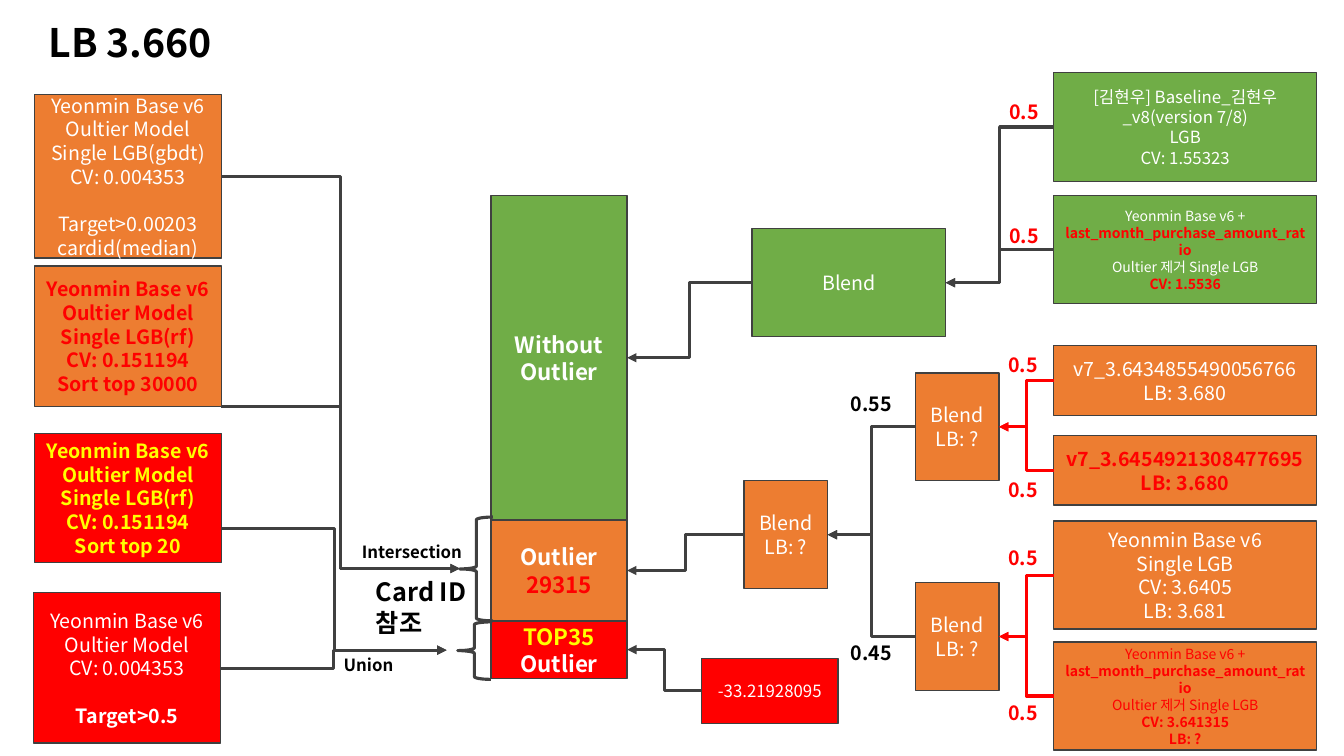
from dataclasses import dataclass
from typing import NamedTuple, Optional

from pptx import Presentation
from pptx.dml.color import RGBColor
from pptx.enum.shapes import MSO_CONNECTOR, MSO_SHAPE
from pptx.enum.text import MSO_ANCHOR, PP_ALIGN
from pptx.oxml.ns import qn
from pptx.util import Inches, Pt
from lxml import etree

FONT = "Noto Sans CJK KR"
ORANGE = RGBColor(0xED, 0x7D, 0x31)
GREEN = RGBColor(0x70, 0xAD, 0x47)
RED = RGBColor(0xFF, 0x00, 0x00)
YELLOW = RGBColor(0xFF, 0xFF, 0x00)
WHITE = RGBColor(0xFF, 0xFF, 0xFF)
BLACK = RGBColor(0x00, 0x00, 0x00)
GRAY = RGBColor(0x40, 0x40, 0x40)

RECT, BRACE = MSO_SHAPE.RECTANGLE, MSO_SHAPE.LEFT_BRACE
ELBOW = MSO_CONNECTOR.ELBOW
LEFT, CENTER = PP_ALIGN.LEFT, PP_ALIGN.CENTER
TOP, MIDDLE = MSO_ANCHOR.TOP, MSO_ANCHOR.MIDDLE
LEFT_SITE, RIGHT_SITE = 1, 3
LINE_FACTOR = 1.21


class Run(NamedTuple):
    text: str
    color: Optional[RGBColor] = None
    bold: Optional[bool] = None


class Para(NamedTuple):
    runs: tuple
    gap_lines: int = 0


@dataclass
class Box:
    key: str
    at: tuple
    fill: RGBColor
    size: int
    paras: list
    color: RGBColor = WHITE
    bold: bool = False


@dataclass
class Label:
    text: str
    at: tuple
    color: RGBColor = BLACK
    size: int = 14


def lines(*texts: str) -> list:
    return [Para((Run(t),)) for t in texts]


def write(tf, paras: list, size: int, color: RGBColor, bold: bool, align) -> None:
    tf.word_wrap = True
    for i, para in enumerate(paras):
        p = tf.paragraphs[0] if i == 0 else tf.add_paragraph()
        p.alignment = align
        p.line_spacing = Pt(size * LINE_FACTOR)
        p.space_before = Pt(size * LINE_FACTOR * para.gap_lines)
        for run in para.runs:
            r = p.add_run()
            r.text = run.text
            r.font.size = Pt(size)
            r.font.bold = bold if run.bold is None else run.bold
            r.font.color.rgb = run.color or color
            r.font.name = FONT
            etree.SubElement(r.font._element, qn("a:ea")).set("typeface", FONT)


def draw_box(s, box: Box):
    sp = s.shapes.add_shape(RECT, *map(Inches, box.at))
    sp.shadow.inherit = False
    sp.fill.solid()
    sp.fill.fore_color.rgb = box.fill
    sp.line.color.rgb = GRAY
    sp.line.width = Pt(1)
    sp.text_frame.vertical_anchor = MIDDLE
    write(sp.text_frame, box.paras, box.size, box.color, box.bold, CENTER)
    return sp


def draw_label(s, label: Label) -> None:
    tf = s.shapes.add_textbox(*map(Inches, label.at)).text_frame
    tf.vertical_anchor = TOP
    write(tf, lines(label.text), label.size, label.color, True, LEFT)


def draw_brace(s, at: tuple) -> None:
    sp = s.shapes.add_shape(BRACE, *map(Inches, at))
    sp.shadow.inherit = False
    sp.fill.background()
    sp.line.color.rgb = GRAY
    sp.line.width = Pt(2.25)


def draw_arrow(s, color: RGBColor, start: tuple = (0, 0), end: tuple = (0, 0)):
    c = s.shapes.add_connector(ELBOW, *map(Inches, start + end))
    c.line.color.rgb = color
    c.line.width = Pt(2.25)
    etree.SubElement(c.line._get_or_add_ln(), qn("a:tailEnd")).set("type", "triangle")
    etree.SubElement(c._element.spPr, qn("a:effectLst"))
    return c


prs = Presentation()
prs.slide_width, prs.slide_height = Inches(13.33), Inches(7.5)
s = prs.slides.add_slide(prs.slide_layouts[5])

# Title
title = s.shapes.title
title.left, title.top, title.width, title.height = map(Inches, (0.38, 0.13, 5.52, 0.57))
title.text_frame.vertical_anchor = MIDDLE
write(title.text_frame, lines("LB 3.660"), 28, BLACK, True, LEFT)

# Boxes, column by column
BASE = "Yeonmin Base v6"
MODEL = "Oultier Model"
FOREST = (BASE, MODEL, "Single LGB(rf)", "CV: 0.151194")
RATIO = Para((Run(BASE + " + "), Run("last_month_purchase_amount_ratio", RED, True)))
REMOVED = Para((Run("Oultier 제거 Single LGB"),))
BLEND = lines("Blend", "LB: ?")
SRC_X, SRC_W = 10.45, 2.61
BAR_X, BAR_W = 4.87, 1.35
MODEL_X, MODEL_W = 0.34, 1.86
BLEND_SIZE = (0.83, 1.07)

BOXES = [
    Box("gbdt model", (MODEL_X, 0.94, MODEL_W, 1.62), ORANGE, 14,
        lines(BASE, MODEL, "Single LGB(gbdt)", "CV: 0.004353")
        + [Para((Run("Target>0.00203 cardid(median)"),), 1)]),
    Box("rf top 30000", (MODEL_X, 2.64, MODEL_W, 1.39), ORANGE, 14,
        lines(*FOREST, "Sort top 30000"), RED, True),
    Box("rf top 20", (MODEL_X, 4.3, MODEL_W, 1.28), RED, 14,
        lines(*FOREST, "Sort top 20"), YELLOW, True),
    Box("target model", (MODEL_X - 0.01, 5.88, MODEL_W, 1.49), RED, 14,
        lines(BASE, MODEL, "CV: 0.004353")
        + [Para((Run("Target>0.5", bold=True),), 1)]),
    Box("without outlier", (BAR_X, 1.94, BAR_W, 3.22), GREEN, 16,
        lines("Without", "Outlier"), WHITE, True),
    Box("outlier", (BAR_X, 5.16, BAR_W, 1), ORANGE, 16,
        [Para((Run("Outlier"),)), Para((Run("29315", RED),))], WHITE, True),
    Box("top35", (BAR_X, 6.16, BAR_W, 0.57), RED, 16,
        [Para((Run("TOP35", YELLOW), Run(" Outlier")))], WHITE, True),
    Box("green blend", (7.46, 2.27, 1.92, 1.07), GREEN, 14, lines("Blend")),
    Box("final blend", (7.38, 4.77, *BLEND_SIZE), ORANGE, 14, BLEND),
    Box("upper blend", (9.08, 3.7, *BLEND_SIZE), ORANGE, 14, BLEND),
    Box("lower blend", (9.08, 5.78, *BLEND_SIZE), ORANGE, 14, BLEND),
    Box("constant", (6.96, 6.53, 1.35, 0.65), RED, 12, lines("-33.21928095")),
    Box("baseline", (SRC_X, 0.72, SRC_W, 1.08), GREEN, 12,
        lines("[김현우] Baseline_김현우_v8(version\u00a07/8)", "LGB", "CV: 1.55323")),
    Box("ratio cv", (SRC_X, 1.94, SRC_W, 1.07), GREEN, 10,
        [RATIO, REMOVED, Para((Run("CV: 1.5536", RED, True),))]),
    Box("v7 first", (SRC_X, 3.43, SRC_W, 0.69), ORANGE, 14,
        lines("v7_3.6434855490056766", "LB: 3.680")),
    Box("v7 second", (SRC_X, 4.32, SRC_W, 0.69), ORANGE, 14,
        lines("v7_3.6454921308477695", "LB: 3.680"), RED, True),
    Box("single lgb", (SRC_X, 5.17, SRC_W, 1.07), ORANGE, 14,
        lines(BASE, "Single LGB", "CV: 3.6405", "LB: 3.681")),
    Box("ratio lb", (SRC_X, 6.37, SRC_W, 1.07), ORANGE, 10,
        [RATIO, REMOVED, Para((Run("CV: 3.641315", bold=True),)),
         Para((Run("LB: ?", bold=True),))], RED),
]
shapes = {box.key: draw_box(s, box) for box in BOXES}

# Arrows between boxes, from left side to right side
FLOWS = [
    ("baseline", "green blend", GRAY), ("ratio cv", "green blend", GRAY),
    ("green blend", "without outlier", GRAY), ("final blend", "outlier", GRAY),
    ("constant", "top35", GRAY), ("upper blend", "final blend", GRAY),
    ("lower blend", "final blend", GRAY), ("v7 first", "upper blend", RED),
    ("v7 second", "upper blend", RED), ("single lgb", "lower blend", RED),
    ("ratio lb", "lower blend", RED),
]
for source, target, color in FLOWS:
    c = draw_arrow(s, color)
    c.begin_connect(shapes[source], LEFT_SITE)
    c.end_connect(shapes[target], RIGHT_SITE)

# Arrows from the models to the braces
INTERSECTION, UNION = (4.56, 5.64), (4.43, 6.45)
for start, end in [((2.2, 1.75), INTERSECTION), ((2.19, 4.03), INTERSECTION),
                   ((2.2, 5.24), UNION), ((2.18, 6.63), UNION)]:
    draw_arrow(s, GRAY, start, end)
draw_brace(s, (4.56, 5.13, 0.33, 1.03))
draw_brace(s, (4.54, 6.17, 0.33, 0.57))

# Labels and blend weights
WEIGHT_SIZE = (0.65, 0.34)
LABELS = [
    Label("Intersection", (3.49, 5.32, 1.22, 0.3), size=12),
    Label("Union", (3.31, 6.44, 1.22, 0.3), size=12),
    Label("Card ID 참조", (3.63, 5.67, 1.15, 0.71), size=18),
    Label("0.55", (8.34, 3.84, *WEIGHT_SIZE)),
    Label("0.45", (8.34, 6.31, *WEIGHT_SIZE)),
]
HALF_WEIGHTS = [(9.91, 0.94), (9.91, 2.17), (9.9, 3.45), (9.9, 4.69), (9.9, 5.37), (9.9, 6.9)]
LABELS += [Label("0.5", (*corner, *WEIGHT_SIZE), RED) for corner in HALF_WEIGHTS]
for label in LABELS:
    draw_label(s, label)

prs.save("out.pptx")
